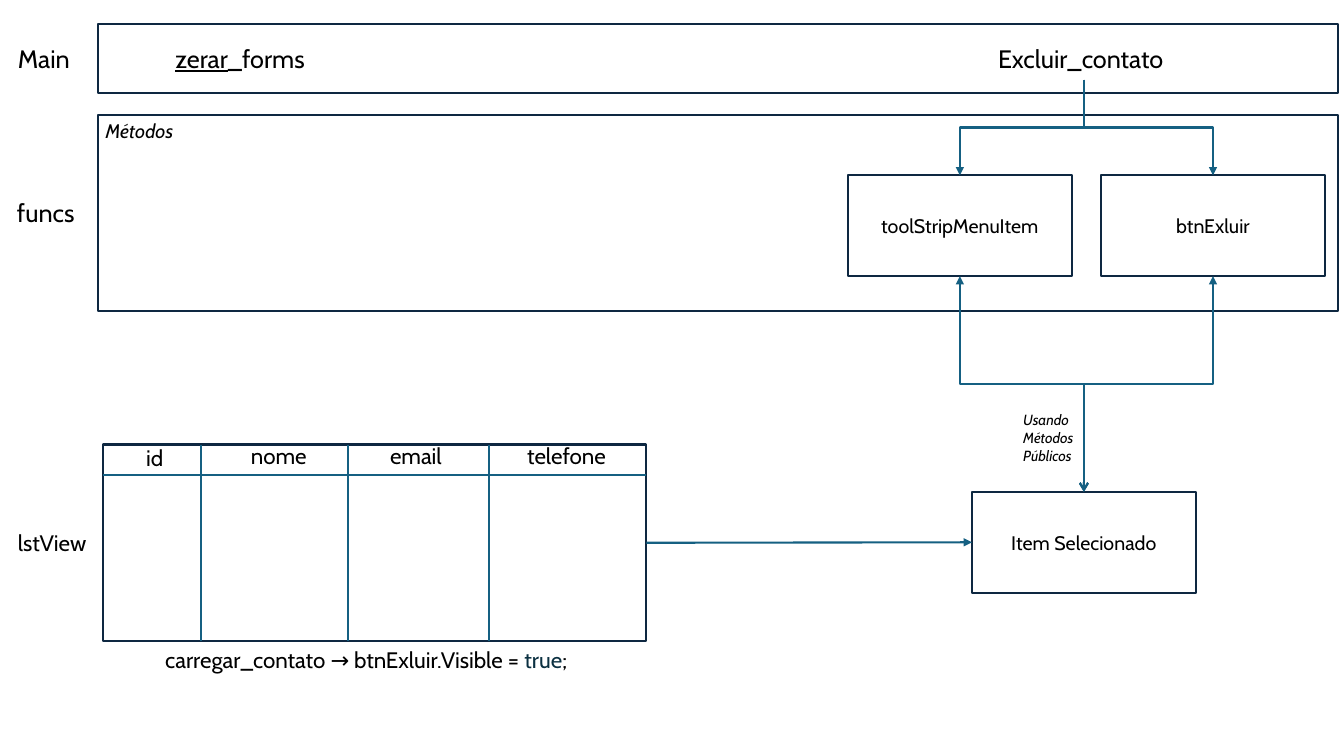
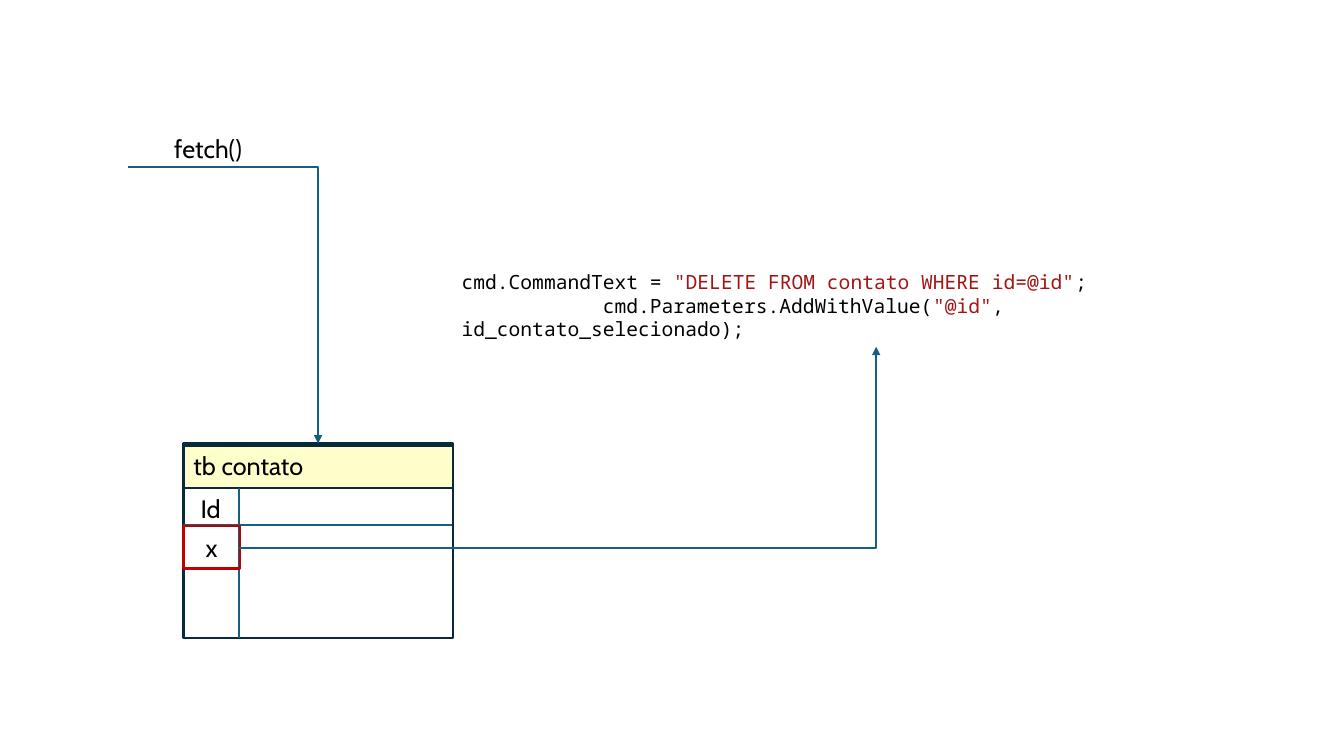
from lxml.etree import SubElement
from pptx import Presentation
from pptx.dml.color import RGBColor
from pptx.enum.shapes import MSO_CONNECTOR, MSO_SHAPE
from pptx.enum.text import MSO_ANCHOR, PP_ALIGN
from pptx.oxml.ns import qn
from pptx.util import Inches, Pt

WIDTH, HEIGHT = 13.33, 7.5
BLACK, WHITE = "000000", "FFFFFF"
NAVY, DARK, TEAL = "0E2841", "092A39", "156082"
RED, CREAM, STRING, KEYWORD = "C00000", "FFFFCC", "A31515", "0B3041"
TITLE, LABEL, NODE, NOTE = 18, 16, 14, 10.5
SANS, MONO = "Cabin", "Noto Sans Mono"
TOP, LEFT, BOTTOM, RIGHT = range(4)

PANEL_LEFT, PANEL_WIDTH = 0.97, 12.3
PANELS = [(0.24, 0.68), (1.14, 1.95)]
NODE_WIDTH, NODE_HEIGHT = 2.22, 1
NODES = {
    "toolStripMenuItem": (8.41, 1.74),
    "btnExluir": (10.92, 1.74),
    "Item Selecionado": (9.64, 4.88),
}
LIST_VIEW = (1.02, 4.41, 5.39, 1.95)
LIST_HEADER = 0.3
LIST_DIVIDERS = [1.99, 3.45, 4.85]
MAIN_TEXTS = [
    ("Main", TITLE, (0.08, 0.38, 0.73, 0.4)),
    ("Excluir_contato", TITLE, (9.8, 0.38, 1.89, 0.4)),
    ("funcs", TITLE, (0.07, 1.91, 0.81, 0.4)),
    ("lstView", LABEL, (0.08, 5.2, 0.9, 0.37)),
    ("id", LABEL, (1.35, 4.36, 0.38, 0.37)),
    ("nome", LABEL, (2.39, 4.34, 0.76, 0.37)),
    ("email", LABEL, (3.77, 4.34, 0.74, 0.37)),
    ("telefone", LABEL, (5.13, 4.34, 1, 0.37)),
]
ZERAR = [[("zerar", {"underline": True}), ("_forms", {})]]
LOAD_CALL = [[("carregar_contato → btnExluir.Visible = ", {}), ("true", {"color": KEYWORD}), (";", {})]]
METHODS = [[("Métodos", {"italic": True})]]
PUBLIC_METHODS = [[(word, {"italic": True})] for word in ("Usando", "Métodos", "Públicos")]

TABLE = (1.82, 4.4, 2.67, 1.93)
TABLE_RIGHT, TABLE_BOTTOM = 4.48, 6.33
ID_RIGHT, HEADER_BOTTOM, ID_BOTTOM = 2.37, 4.84, 5.21
TABLE_TEXTS = [
    ("tb contato", (1.82, 4.42, 1.32, 0.4)),
    ("Id", (1.89, 4.84, 0.41, 0.4)),
    ("x", (1.94, 5.23, 0.31, 0.4)),
]
COMMAND = [
    [("cmd.CommandText = ", {}), ('"DELETE FROM contato WHERE id=@id"', {"color": STRING}), (";", {})],
    [("cmd.Parameters.AddWithValue(", {}), ('"@id"', {"color": STRING}), (", id_contato_selecionado);", {})],
]


def rgb(value):
    return RGBColor.from_string(value)


def write(frame, paragraphs, size, font=SANS, align=PP_ALIGN.LEFT):
    for index, spans in enumerate(paragraphs):
        para = frame.add_paragraph() if index else frame.paragraphs[0]
        para.alignment = align
        for text, changes in spans:
            span = para.add_run()
            span.text = text
            style = {"name": font, "size": Pt(size), **changes}
            span.font.color.rgb = rgb(style.pop("color", BLACK))
            for name, value in style.items():
                setattr(span.font, name, value)


def add_text(page, content, size, area, wrap=False, font=SANS):
    box = page.shapes.add_textbox(*map(Inches, area))
    box.text_frame.word_wrap = wrap
    paragraphs = [[(content, {})]] if isinstance(content, str) else content
    write(box.text_frame, paragraphs, size, font)
    return box


def add_box(page, area, color=NAVY, fill=None, text=None):
    box = page.shapes.add_shape(MSO_SHAPE.RECTANGLE, *map(Inches, area))
    box.shadow.inherit = False
    box.line.color.rgb, box.line.width = rgb(color), Pt(1.5)
    if fill:
        box.fill.solid()
        box.fill.fore_color.rgb = rgb(fill)
    else:
        box.fill.background()
    if text:
        box.text_frame.word_wrap = True
        box.text_frame.vertical_anchor = MSO_ANCHOR.MIDDLE
        write(box.text_frame, [[(text, {})]], NODE, align=PP_ALIGN.CENTER)
    return box


def add_line(page, start, end, kind=MSO_CONNECTOR.STRAIGHT, **arrows):
    line = page.shapes.add_connector(kind, *map(Inches, start + end))
    line.line.color.rgb, line.line.width = rgb(TEAL), Pt(1.5)
    stroke = line.line._get_or_add_ln()
    for name in ("headEnd", "tailEnd"):
        if name in arrows:
            SubElement(stroke, qn("a:" + name), type=arrows[name])
    SubElement(line.element.spPr, qn("a:effectLst"))
    return line


def add_corner(page, start, end):
    line = add_line(page, start, end, MSO_CONNECTOR.ELBOW, tailEnd="triangle")
    line.element.spPr.find(qn("a:prstGeom")).set("prst", "bentConnector2")


def add_branch(page, start, end, **arrows):
    line = add_line(page, start, end, MSO_CONNECTOR.ELBOW, tailEnd="triangle", **arrows)
    across, down = end[0] - start[0], end[1] - start[1]
    width, height = abs(down), abs(across)
    place = {
        "left": (start[0] + end[0] - width) / 2,
        "top": (start[1] + end[1] - height) / 2,
        "width": width,
        "height": height,
    }
    for name, value in place.items():
        setattr(line, name, Inches(value))
    turn = 90 if (down > 0) == (across < 0) else 270
    flags = {"rot": turn * 60000, "flipH": int(across > 0), "flipV": int(down < 0)}
    for name, value in flags.items():
        line.element.spPr.find(qn("a:xfrm")).set(name, str(value))


def build_flow(page):
    for top, height in PANELS:
        add_box(page, (PANEL_LEFT, top, PANEL_WIDTH, height))
    nodes = {
        name: add_box(page, (*corner, NODE_WIDTH, NODE_HEIGHT), fill=WHITE, text=name)
        for name, corner in NODES.items()
    }
    selected = nodes["Item Selecionado"]
    selected_left, selected_top = NODES["Item Selecionado"]
    trunk = selected_left + NODE_WIDTH / 2
    for name in ("toolStripMenuItem", "btnExluir"):
        left, top = NODES[name]
        middle = left + NODE_WIDTH / 2
        add_branch(page, (trunk, 0.79), (middle, top))
        add_branch(page, (trunk, selected_top), (middle, top + NODE_HEIGHT), headEnd="arrow")

    left, top, width, height = LIST_VIEW
    view = add_box(page, LIST_VIEW)
    add_line(page, (left, top + LIST_HEADER), (left + width, top + LIST_HEADER))
    for divider in LIST_DIVIDERS:
        add_line(page, (divider, top), (divider, top + height))
    middle = top + height / 2
    arrow = add_line(page, (left + width, middle), (selected_left, middle), tailEnd="triangle")
    arrow.begin_connect(view, RIGHT)
    arrow.end_connect(selected, LEFT)

    for text, size, area in MAIN_TEXTS:
        add_text(page, text, size, area)
    add_text(page, ZERAR, TITLE, (1.64, 0.38, 1.49, 0.4))
    add_text(page, LOAD_CALL, LABEL, (1.54, 6.36, 4.41, 0.37))
    add_text(page, METHODS, NODE, (0.95, 1.13, 0.94, 0.34))
    add_text(page, PUBLIC_METHODS, NOTE, (10.05, 4.03, 0.79, 0.63))


def build_query(page):
    left, top, width, height = TABLE
    add_box(page, TABLE, DARK)
    add_corner(page, (1.27, 1.66), (left + width / 2, top))
    add_text(page, "fetch()", TITLE, (1.63, 1.27, 1.17, 0.4), wrap=True)
    add_box(page, (left, 4.42, width, 0.42), DARK, CREAM)
    add_line(page, (left, ID_BOTTOM), (TABLE_RIGHT, ID_BOTTOM))
    add_line(page, (ID_RIGHT, HEADER_BOTTOM), (ID_RIGHT, TABLE_BOTTOM))
    for text, area in TABLE_TEXTS:
        add_text(page, text, TITLE, area)
    add_box(page, (left, 5.22, 0.56, 0.42), RED)
    add_corner(page, (ID_RIGHT, 5.44), (8.69, 3.44))
    code = add_text(page, COMMAND, NODE, (4.48, 2.63, 8.42, 0.81), wrap=True, font=MONO)
    indent = code.text_frame.paragraphs[1]._p.get_or_add_pPr()
    for name, value in {"marL": 0, "indent": Inches(1.4)}.items():
        indent.set(name, str(value))


def main():
    deck = Presentation()
    deck.slide_width, deck.slide_height = Inches(WIDTH), Inches(HEIGHT)
    for build in (build_flow, build_query):
        build(deck.slides.add_slide(deck.slide_layouts[6]))
    deck.save("out.pptx")


if __name__ == "__main__":
    main()
